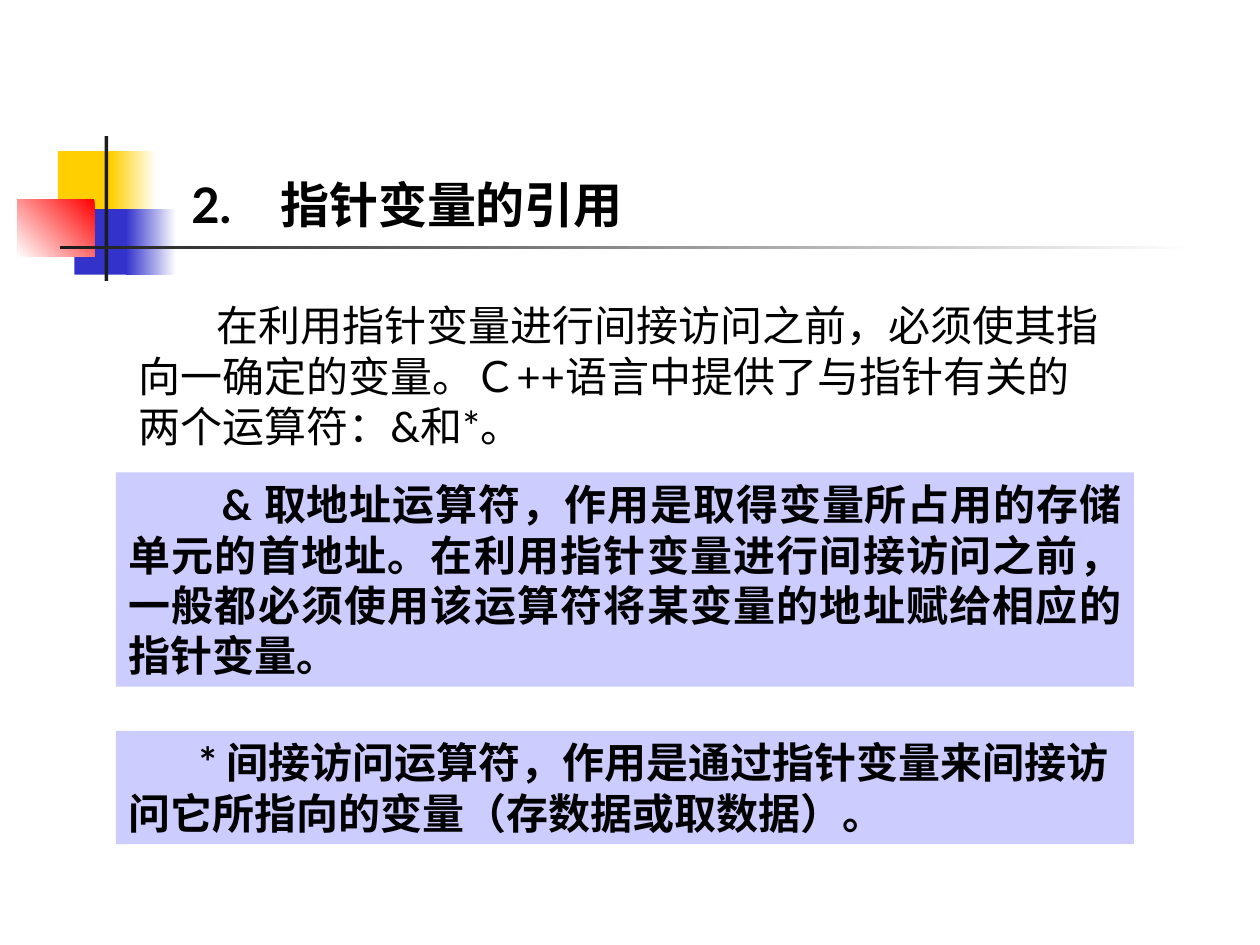
import pptx
import pptx.dml.color
import pptx.enum.shapes
import pptx.enum.text
import pptx.oxml.ns
import pptx.util
from lxml import etree
from pptx.util import Inches

RGBColor = pptx.dml.color.RGBColor
WHITE = RGBColor(0xFF, 0xFF, 0xFF)
BLACK = RGBColor(0x00, 0x00, 0x00)
YELLOW = RGBColor(0xFF, 0xCF, 0x01)
BLUE = RGBColor(0x33, 0x33, 0xCC)
RED = RGBColor(0xFF, 0x00, 0x00)
CHARCOAL = RGBColor(0x1C, 0x1C, 0x1C)
LAVENDER = RGBColor(0xCC, 0xCC, 0xFF)

LATIN = "Lato"
SERIF = "Times New Roman"
SANS = "Noto Sans CJK SC"
ALIGN = pptx.enum.text.PP_ALIGN
ANCHOR = pptx.enum.text.MSO_ANCHOR


def add_block(page, place, color):
    block = page.shapes.add_shape(
        pptx.enum.shapes.MSO_SHAPE.RECTANGLE, *map(Inches, place))
    block.shadow.inherit = False
    block.line.fill.background()
    block.fill.solid()
    block.fill.fore_color.rgb = color
    return block


def add_fading_block(page, place, start, end, angle=180):
    block = add_block(page, place, start)
    block.fill.gradient()
    block.fill.gradient_angle = angle
    for stop, color, position in zip(block.fill.gradient_stops, (start, end), (0, 1)):
        stop.color.rgb = color
        stop.position = position


def add_span(para, text, font_name, size, bold):
    span = para.add_run()
    span.text = text
    span.font.color.rgb = BLACK
    font_format = {"name": font_name, "size": pptx.util.Pt(size), "bold": bold}
    for name, value in font_format.items():
        setattr(span.font, name, value)
    east_asian = etree.SubElement(span.font._element, pptx.oxml.ns.qn("a:ea"))
    east_asian.set("typeface", LATIN)


def write_text(box, spans, size=24, bold=True, indent=0,
               align=ALIGN.LEFT, anchor=ANCHOR.TOP):
    frame = box.text_frame
    frame_format = {
        "word_wrap": True,
        "vertical_anchor": anchor,
        "margin_left": Inches(0.1),
        "margin_right": Inches(0.1),
        "margin_top": Inches(0.05),
        "margin_bottom": Inches(0.05),
    }
    for name, value in frame_format.items():
        setattr(frame, name, value)
    para = frame.paragraphs[0]
    para.alignment = align
    properties = para._p.get_or_add_pPr()
    properties.set("marL", "0")
    properties.set("indent", str(Inches(indent)))
    for text, font_name in spans:
        add_span(para, text, font_name, size, bold)


def add_text(page, place, spans, **text_format):
    box = page.shapes.add_textbox(*map(Inches, place))
    write_text(box, spans, **text_format)


def add_panel(page, place, spans, **text_format):
    write_text(add_block(page, place, LAVENDER), spans, **text_format)


def add_decoration(page):
    add_block(page, (0.46, 1.2, 0.48, 0.52), YELLOW)
    add_fading_block(page, (0.88, 1.2, 0.36, 0.52), WHITE, YELLOW)
    add_block(page, (0.59, 1.66, 0.46, 0.52), BLUE)
    add_fading_block(page, (1, 1.66, 0.4, 0.52), WHITE, BLUE)
    add_fading_block(page, (0.14, 1.58, 0.61, 0.46), RED, WHITE, angle=225)
    add_block(page, (0.83, 1.08, 0.03, 1.15), CHARCOAL)
    add_fading_block(page, (0.48, 1.95, 9, 0.03), WHITE, CHARCOAL)


def main():
    deck = pptx.Presentation()
    deck.slide_width, deck.slide_height = Inches(10), Inches(7.5)
    page = deck.slides.add_slide(deck.slide_layouts[6])

    add_decoration(page)
    add_text(page, (1.42, 1.33, 4.32, 0.57),
             [("2.", LATIN), ("　指针变量的引用", SERIF)],
             size=28, anchor=ANCHOR.BOTTOM)
    add_panel(page, (0.92, 3.75, 8.08, 1.7),
              [("& ", LATIN),
               ("取地址运算符，作用是取得变量所占用的存储单元的首地址。"
                "在利用指针变量进行间接访问之前，"
                "一般都必须使用该运算符将某变量的地址赋给相应的指针变量。", SERIF)],
              indent=0.74, align=ALIGN.JUSTIFY)
    add_text(page, (1, 2.33, 7.83, 1.3),
             [("在利用指针变量进行间接访问之前，必须使其指向一确定的变量。Ｃ", SERIF),
              ("++", LATIN),
              ("语言中提供了与指针有关的两个运算符：", SERIF),
              ("&", LATIN), ("和", SERIF), ("*", LATIN), ("。", SERIF)],
             bold=False, indent=0.62)
    add_panel(page, (0.92, 5.8, 8.08, 0.9),
              [("* ", LATIN),
               ("间接访问运算符，作用是通过指针变量来间接访问它所指向的变量"
                "（存数据或取数据）。", SANS)],
              indent=0.56)

    deck.save("out.pptx")


if __name__ == "__main__":
    main()
